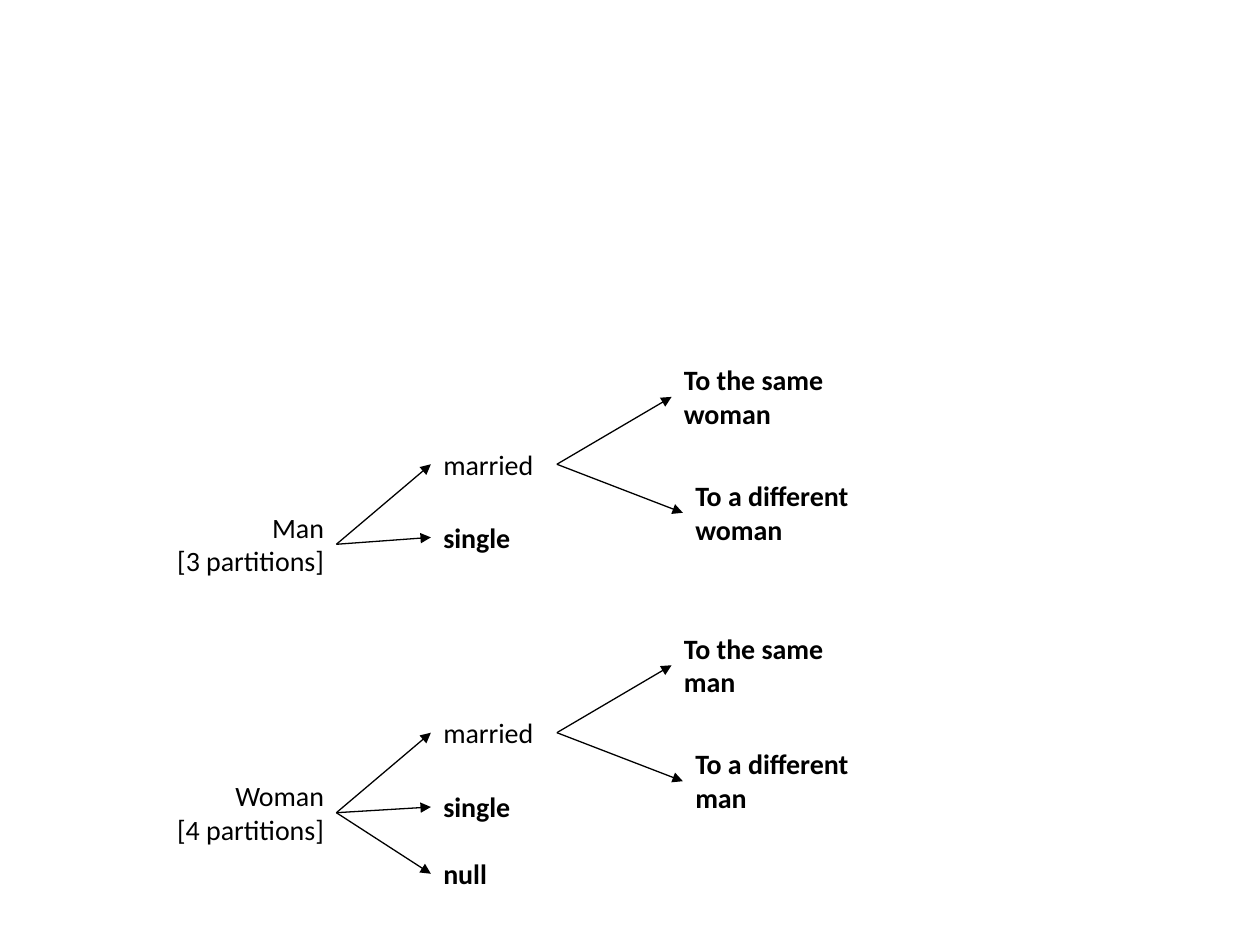
import pptx
import pptx.util
import pptx.dml.color
import pptx.enum.shapes
import pptx.enum.text
from lxml import etree
from pptx.oxml.ns import qn

Inches = pptx.util.Inches
BLACK = pptx.dml.color.RGBColor(0x00, 0x00, 0x00)
RIGHT_SIDE, LEFT_SIDE = 3, 1

prs = pptx.Presentation()
prs.slide_width, prs.slide_height = Inches(10), Inches(7.5)
s = prs.slides.add_slide(prs.slide_layouts[6])


def add_label(text, x, y, w, h, bold=True, align=pptx.enum.text.PP_ALIGN.LEFT):
    sp = s.shapes.add_textbox(Inches(x), Inches(y), Inches(w), Inches(h))
    tf = sp.text_frame
    tf.word_wrap = True
    tf.auto_size = pptx.enum.text.MSO_AUTO_SIZE.SHAPE_TO_FIT_TEXT
    p = tf.paragraphs[0]
    p.text = text
    p.alignment = align
    p.font.name = "Calibri"
    p.font.size = pptx.util.Pt(16)
    p.font.bold = bold
    p.font.color.rgb = BLACK
    return sp


def add_arrow(parent, child):
    c = s.shapes.add_connector(pptx.enum.shapes.MSO_CONNECTOR.STRAIGHT, 0, 0, 0, 0)
    c.begin_connect(parent, RIGHT_SIDE)
    c.end_connect(child, LEFT_SIDE)
    c.line.color.rgb = BLACK
    c.line.width = pptx.util.Pt(0.75)
    etree.SubElement(c.line._get_or_add_ln(), qn("a:tailEnd"), type="triangle")
    etree.SubElement(c._element.spPr, qn("a:effectLst"))


# Each tree: top of root, root text, left and width, spouse,
# widths of the two spouse labels, single-level statuses with their drop
trees = [
    (4, "Man\v[3 partitions]", 1.25, 1.42, "woman", (1.5, 1.58),
     [("single", 0.08)]),
    (6.13, "Woman\v[4 partitions]", 1.17, 1.5, "man", (1.33, 1.67),
     [("single", 0.09), ("null", 0.62)]),
]

for top, root_text, left, width, spouse, widths, statuses in trees:
    # Root and its "married" branch
    root = add_label(root_text, left, top, width, 0.64, False,
                     pptx.enum.text.PP_ALIGN.RIGHT)
    married = add_label("married", 3.42, top - 0.5, 1, 0.37, False)
    add_arrow(root, married)

    # Other statuses
    for text, drop in statuses:
        add_arrow(root, add_label(text, 3.42, top + drop, 1, 0.37))

    # Whom the person is married to
    same = add_label(f"To the same {spouse}", 5.33, top - 1.17, widths[0], 0.64)
    different = add_label(f"To a different {spouse}", 5.42, top - 0.25, widths[1], 0.64)
    add_arrow(married, same)
    add_arrow(married, different)

prs.save("out.pptx")
